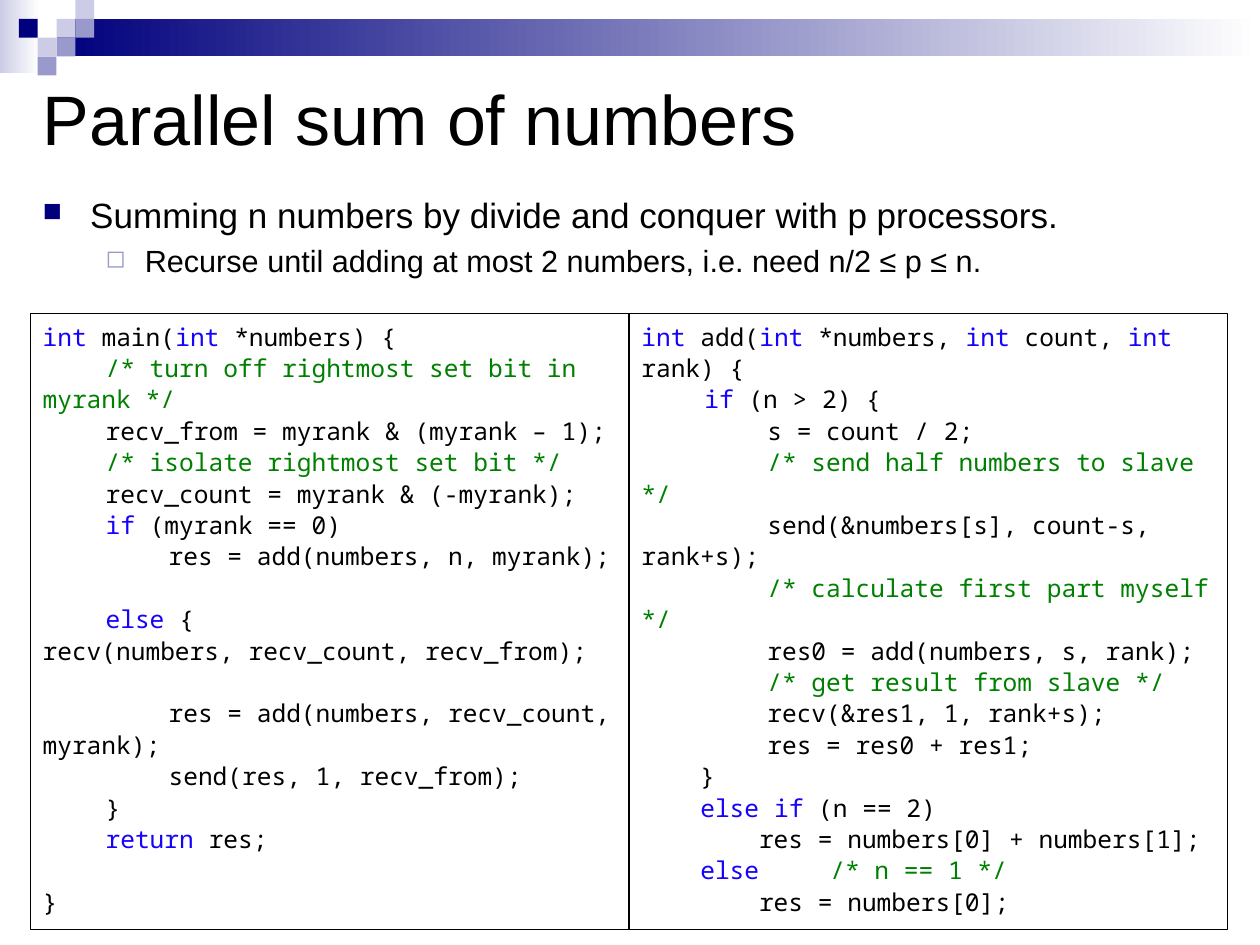
import itertools
from dataclasses import dataclass
from typing import Iterator, Optional

import pptx
import pptx.dml.color
import pptx.enum.shapes
import pptx.enum.text
import pptx.util
from lxml import etree

Cm = pptx.util.Cm
Pt = pptx.util.Pt
RGB = pptx.dml.color.RGBColor.from_string
RECT = pptx.enum.shapes.MSO_SHAPE.RECTANGLE
A = "{http://schemas.openxmlformats.org/drawingml/2006/main}"


@dataclass(frozen=True)
class Theme:
    text: str = "000000"
    white: str = "FFFFFF"
    navy: str = "00007D"
    violet: str = "9999CC"
    lilac: str = "CCCCE6"
    keyword: str = "1503FB"
    comment: str = "008000"
    body_font: str = "Arial"
    code_font: str = "Noto Sans Mono"
    title_size: float = 40
    code_size: float = 14
    code_pitch: float = 17.95


@dataclass(frozen=True)
class Block:
    left: float
    top: float
    width: float
    height: float
    color: str
    fade_to: Optional[str] = None


@dataclass(frozen=True)
class Bullet:
    text: str
    level: int
    size: float
    indent: float
    hanging: float
    char: str
    color: str
    scale: int
    before: float


@dataclass(frozen=True)
class CodeBox:
    left: float
    code: str


T = Theme()
UNIT = 0.38
CODE_TOP, CODE_WIDTH, CODE_HEIGHT = 6.32, 12.07, 12.42
TAB_STEP, TAB_COUNT = 1.27, 8
KEYWORDS = {"int", "if", "else", "return"}

BARS = [
    Block(0, 0, 0.79, 1.47, T.lilac, T.white),
    Block(3 * UNIT, UNIT, 24.26, 2 * UNIT, T.navy, T.white),
]
SQUARES = [
    Block(col * UNIT, row * UNIT, UNIT, UNIT, color)
    for col, row, color in [
        (3, 1, T.lilac), (4, 0, T.lilac), (4, 1, T.violet), (2, 2, T.lilac),
        (1, 1, T.navy), (3, 2, T.violet), (2, 3, T.violet),
    ]
]
BULLETS = [
    Bullet("Summing n numbers by divide and conquer with p processors.",
           0, 20, 0.96, 0.96, "■", T.navy, 75, 0),
    Bullet("Recurse until adding at most 2 numbers, i.e. need n/2 ≤ p ≤ n.",
           1, 17.5, 2.06, 0.79, "◻", T.violet, 80, 3.5),
]
MAIN_CODE = """int main(int *numbers) {
\t/* turn off rightmost set bit in myrank */
\trecv_from = myrank & (myrank – 1);
\t/* isolate rightmost set bit */
\trecv_count = myrank & (-myrank);
\tif (myrank == 0)
\t\tres = add(numbers, n, myrank);

\telse {
recv(numbers, recv_count, recv_from);

\t\tres = add(numbers, recv_count, myrank);
\t\tsend(res, 1, recv_from);
\t}
\treturn res;

}"""
ADD_CODE = """int add(int *numbers, int count, int rank) {
\tif (n > 2) {
\t\ts = count / 2;
\t\t/* send half numbers to slave */
\t\tsend(&numbers[s], count-s, rank+s);
\t\t/* calculate first part myself */
\t\tres0 = add(numbers, s, rank);
\t\t/* get result from slave */
\t\trecv(&res1, 1, rank+s);
\t\tres = res0 + res1;
    }
    else if (n == 2)
        res = numbers[0] + numbers[1];
    else\t\t/* n == 1 */
        res = numbers[0];"""
CODE_BOXES = [CodeBox(0.61, MAIN_CODE), CodeBox(0.61 + CODE_WIDTH, ADD_CODE)]


def style(font, name: str, size: float, color: str) -> None:
    font.name, font.size = name, Pt(size)
    font.color.rgb = RGB(color)


def add_block(s, b: Block) -> None:
    sp = s.shapes.add_shape(RECT, Cm(b.left), Cm(b.top), Cm(b.width), Cm(b.height))
    sp.shadow.inherit = False
    sp.line.fill.background()
    if b.fade_to is None:
        sp.fill.solid()
        sp.fill.fore_color.rgb = RGB(b.color)
        return
    sp.fill.gradient()
    sp.fill.gradient_angle = 0
    for stop, color in zip(sp.fill.gradient_stops, (b.color, b.fade_to)):
        stop.color.rgb = RGB(color)


def add_title(s, text: str) -> None:
    sp = s.shapes.title
    sp.left, sp.top, sp.width, sp.height = Cm(0.61), Cm(1.27), Cm(24.16), Cm(2.18)
    tf = sp.text_frame
    tf.text = text
    tf.auto_size = pptx.enum.text.MSO_AUTO_SIZE.NONE
    tf.vertical_anchor = pptx.enum.text.MSO_ANCHOR.MIDDLE
    p = tf.paragraphs[0]
    p.alignment = pptx.enum.text.PP_ALIGN.LEFT
    style(p.runs[0].font, T.body_font, T.title_size, T.text)


def add_bullets(s, bullets: list[Bullet]) -> None:
    tf = s.shapes.add_textbox(Cm(0.61), Cm(3.71), Cm(22.86), Cm(2.39)).text_frame
    tf.word_wrap = True
    tf.margin_top = Cm(0.2)
    for i, b in enumerate(bullets):
        p = tf.add_paragraph() if i else tf.paragraphs[0]
        p.text, p.level, p.space_before = b.text, b.level, Pt(b.before)
        pPr = p._p.get_or_add_pPr()
        pPr.set("marL", str(Cm(b.indent)))
        pPr.set("indent", str(-Cm(b.hanging)))
        clr = etree.SubElement(pPr, A + "buClr")
        etree.SubElement(clr, A + "srgbClr", val=b.color)
        etree.SubElement(pPr, A + "buSzPct", val=str(b.scale * 1000))
        etree.SubElement(pPr, A + "buChar", char=b.char)
        style(p.runs[0].font, T.body_font, b.size, T.text)


def colored_parts(line: str) -> Iterator[tuple[str, str]]:
    code, mark, comment = line.partition("/*")
    for _, chars in itertools.groupby(code, str.isalpha):
        word = "".join(chars)
        yield word, T.keyword if word in KEYWORDS else T.text
    if mark:
        yield mark + comment, T.comment


def add_code(s, box: CodeBox) -> None:
    sp = s.shapes.add_shape(RECT, Cm(box.left), Cm(CODE_TOP), Cm(CODE_WIDTH), Cm(CODE_HEIGHT))
    sp.shadow.inherit = False
    sp.fill.background()
    sp.line.color.rgb = RGB(T.text)
    sp.line.width = Pt(0.75)
    tf = sp.text_frame
    tf.word_wrap = True
    tf.vertical_anchor = pptx.enum.text.MSO_ANCHOR.TOP
    p, gap = tf.paragraphs[0], 0
    for i, line in enumerate(box.code.split("\n")):
        if not line:
            gap = T.code_pitch
            continue
        p = tf.add_paragraph() if i else p
        p.alignment = pptx.enum.text.PP_ALIGN.LEFT
        p.line_spacing, p.space_before, gap = Pt(T.code_pitch), Pt(gap), 0
        tabs = etree.SubElement(p._p.get_or_add_pPr(), A + "tabLst")
        for n in range(1, TAB_COUNT + 1):
            etree.SubElement(tabs, A + "tab", pos=str(Cm(n * TAB_STEP)), algn="l")
        for color, parts in itertools.groupby(colored_parts(line), lambda part: part[1]):
            r = p.add_run()
            r.text = "".join(text for text, _ in parts)
            style(r.font, T.code_font, T.code_size, color)


def main() -> None:
    prs = pptx.Presentation()
    prs.slide_width, prs.slide_height = Cm(25.4), Cm(19.05)
    s = prs.slides.add_slide(prs.slide_layouts[5])
    for block in BARS + SQUARES:
        add_block(s, block)
    add_title(s, "Parallel sum of numbers")
    for box in CODE_BOXES:
        add_code(s, box)
    add_bullets(s, BULLETS)
    prs.save("out.pptx")


if __name__ == "__main__":
    main()
